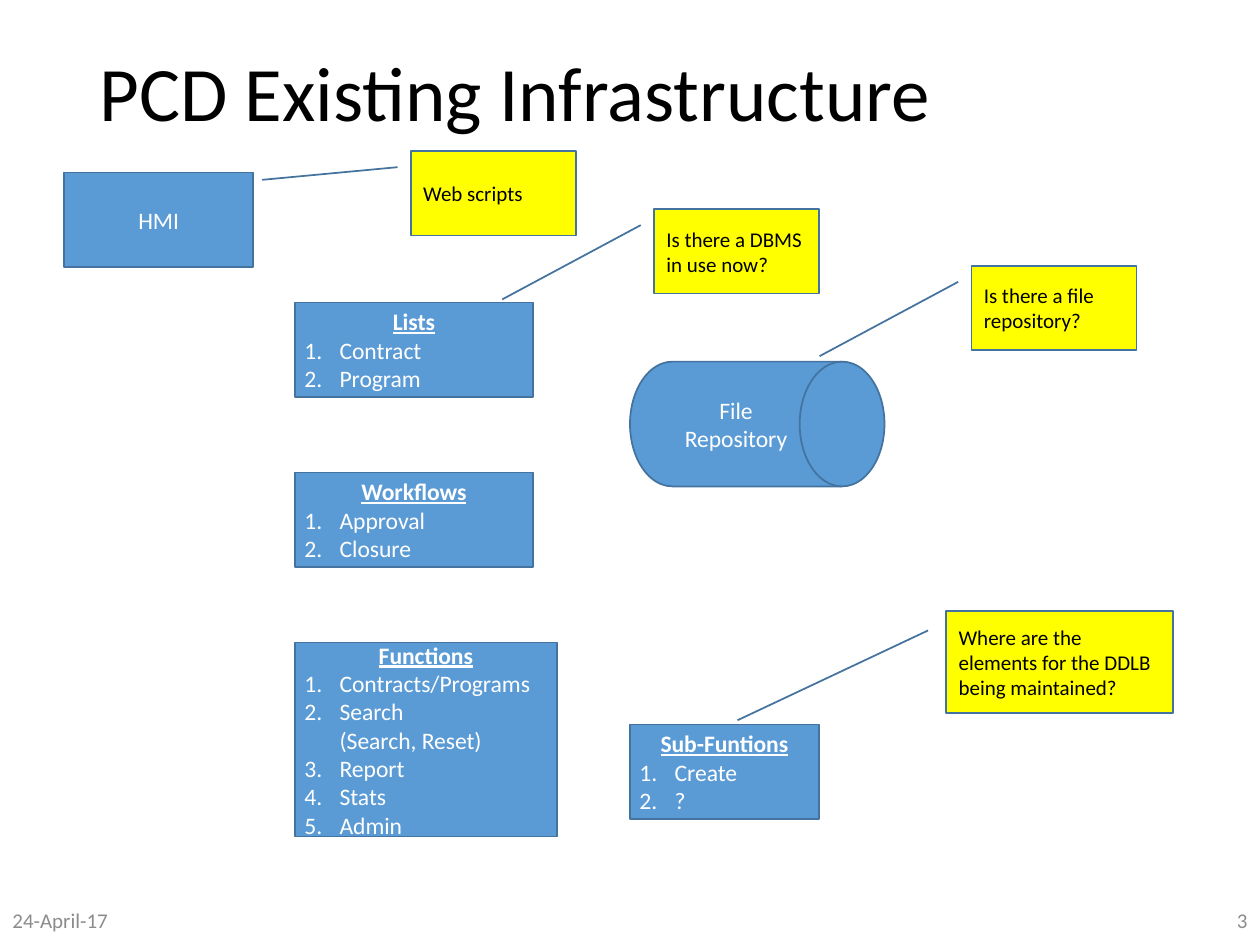
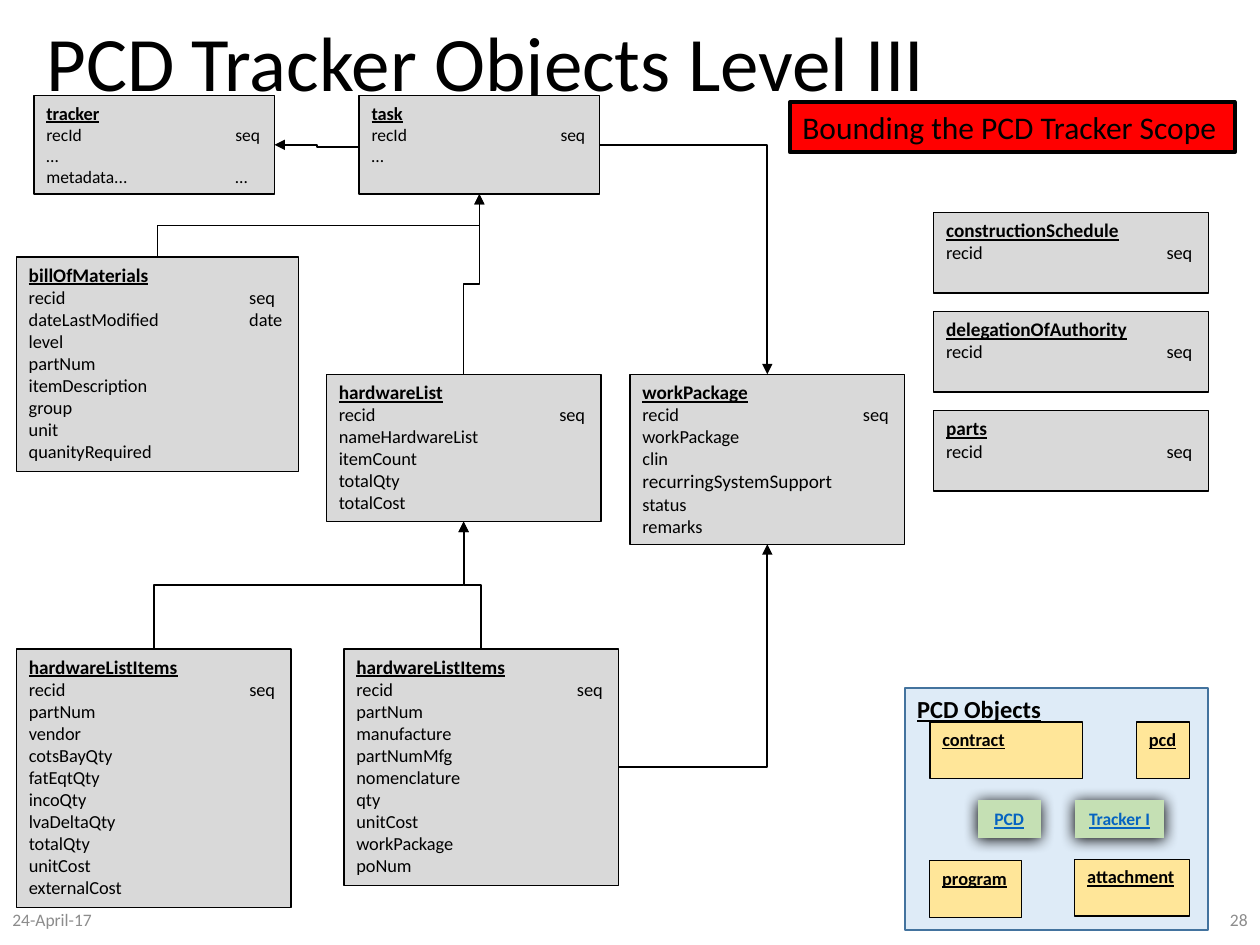
from dataclasses import dataclass, replace

from lxml import etree
from pptx import Presentation
from pptx.dml.color import RGBColor
from pptx.enum.shapes import MSO_CONNECTOR, MSO_SHAPE
from pptx.enum.text import MSO_ANCHOR, PP_ALIGN
from pptx.oxml.ns import qn
from pptx.util import Inches, Pt

RECTANGLE = MSO_SHAPE.RECTANGLE
DRUM = MSO_SHAPE.FLOWCHART_DIRECT_ACCESS_STORAGE
CALLOUT = MSO_SHAPE.LINE_CALLOUT_1
BUTTON = MSO_SHAPE.ACTION_BUTTON_CUSTOM
ELBOW = MSO_CONNECTOR.ELBOW
LEFT, CENTER, RIGHT = PP_ALIGN.LEFT, PP_ALIGN.CENTER, PP_ALIGN.RIGHT
TOP, MIDDLE = MSO_ANCHOR.TOP, MSO_ANCHOR.MIDDLE

# The grid has 100 columns and 75 rows, each one cell wide and high
CELL = Inches(0.1)
COLUMNS, ROWS = 100, 75


@dataclass(frozen=True)
class Style:
    size: float
    ink: str = "000000"
    fill: str = ""
    line: str = ""
    weight: float = 1
    heading_size: float = 0  # 0: the first line is ordinary text
    align: PP_ALIGN = LEFT
    anchor: MSO_ANCHOR = TOP
    insets: tuple = (1, 0.5, 1, 0.5)  # left, top, right, bottom in cells
    spacing: float = 1
    tab: float = 0
    numbered: bool = False


class Theme:
    font = "Calibri"
    black = "000000"
    blue_edge = "43739E"
    title = Style(44, anchor=MIDDLE, spacing=0.9)
    footer = Style(12, "8C8C8C", anchor=MIDDLE)
    module = Style(13.5, "FFFFFF", "5B9BD5", blue_edge, align=CENTER,
                   anchor=MIDDLE, insets=(0.75, 0.38, 0.75, 0.38))
    module_list = replace(module, heading_size=13.5, align=LEFT, numbered=True)
    question = Style(12, fill="FFFF00", line=blue_edge, anchor=MIDDLE)
    entity = Style(10.5, fill="D9D9D9", line=black, weight=0.75,
                   heading_size=11, insets=(1, 0.5, 0, 0.5), tab=17.5)
    small_entity = replace(entity, size=10, heading_size=10.5, tab=15)
    label = replace(entity, fill="FFE699", heading_size=10.5, tab=0)
    panel = Style(14, fill="DEEBF7", line=blue_edge, heading_size=14)
    button = Style(10, "0563C1", "C5E0B4", heading_size=10, align=CENTER,
                   anchor=MIDDLE, insets=(0, 0, 0, 0))
    banner = Style(18, fill="FF0000", line=black, weight=2.25,
                   insets=(1, 0.5, 0, 0.5))


def add_box(slide, place, style, lines, form=RECTANGLE):
    """Add a text box (no fill) or a filled shape holding the lines."""
    left, top, width, height = (round(cells * CELL) for cells in place)
    if style.fill:
        box = slide.shapes.add_shape(form, left, top, width, height)
        box.shadow.inherit = False
        box.fill.solid()
        box.fill.fore_color.rgb = RGBColor.from_string(style.fill)
        if style.line:
            box.line.color.rgb = RGBColor.from_string(style.line)
            box.line.width = Pt(style.weight)
        else:
            box.line.fill.background()
    else:
        box = slide.shapes.add_textbox(left, top, width, height)

    frame = box.text_frame
    frame.word_wrap = True
    frame.vertical_anchor = style.anchor
    (frame.margin_left, frame.margin_top, frame.margin_right,
     frame.margin_bottom) = (round(cells * CELL) for cells in style.insets)

    for number, line in enumerate(lines):
        paragraph = frame.paragraphs[0] if number == 0 else frame.add_paragraph()
        paragraph.text = line
        heading = number == 0 and style.heading_size > 0
        paragraph.alignment = CENTER if heading and style.numbered else style.align
        if style.spacing != 1:
            paragraph.line_spacing = style.spacing
        properties = paragraph._p.get_or_add_pPr()
        if style.numbered and not heading:
            properties.set("marL", str(Inches(0.28)))
            properties.set("indent", str(-Inches(0.28)))
            etree.SubElement(properties, qn("a:buFont"), typeface="+mj-lt")
            etree.SubElement(properties, qn("a:buAutoNum"), type="arabicPeriod")
        if style.tab:
            stops = etree.SubElement(properties, qn("a:tabLst"))
            etree.SubElement(stops, qn("a:tab"), algn="l",
                             pos=str(round(style.tab * CELL)))
        font = paragraph.font
        font.name = Theme.font
        font.size = Pt(style.heading_size if heading else style.size)
        font.bold = font.underline = heading
        font.color.rgb = RGBColor.from_string(style.ink)
    return box


def start_slide(deck, title, title_left, title_top, number, footer_size):
    """Add a blank slide with its title, date and page number."""
    slide = deck.slides.add_slide(deck.slide_layouts[6])
    add_box(slide, (title_left, title_top, 86.2, 8.7), Theme.title, [title])
    footer = replace(Theme.footer, size=footer_size)
    add_box(slide, (0, 71, 22.5, 4), footer, ["24-April-17"])
    add_box(slide, (77.5, 71, 22.5, 4), replace(footer, align=RIGHT), [number])
    return slide


deck = Presentation()
deck.slide_width, deck.slide_height = COLUMNS * CELL, ROWS * CELL

# Slide 1: existing infrastructure
infrastructure = start_slide(deck, "PCD Existing Infrastructure", 6.9, 3.3, "3", 12)
add_box(infrastructure, (5.1, 13.7, 15, 7.5), Theme.module, ["HMI"])
add_box(infrastructure, (50, 28.7, 20.2, 9.9), Theme.module,
        ["File Repository"], DRUM)

module_lists = [
    ((23.4, 24, 18.9, 7.5), ["Lists", "Contract", "Program"]),
    ((23.4, 37.5, 18.9, 7.5), ["Workflows", "Approval", "Closure"]),
    ((23.4, 51, 20.8, 15.4), ["Functions", "Contracts/Programs",
                              "Search\v(Search, Reset)", "Report", "Stats", "Admin"]),
    ((50, 57.5, 15, 7.5), ["Sub-Funtions", "Create", "?"]),
]
for place, lines in module_lists:
    add_box(infrastructure, place, Theme.module_list, lines)

# Questions, each with the point its leader line reaches (down, across)
questions = [
    ((51.9, 16.6, 13.1, 6.7), "Is there a DBMS in use now?", 1.07, -0.92),
    ((77.1, 21.1, 13.1, 6.7), "Is there a file repository?", 1.07, -0.92),
    ((75.1, 48.5, 18, 8.1),
     "Where are the elements for the DDLB being maintained?", 1.07, -0.92),
    ((32.6, 12, 13.1, 6.7), "Web scripts", 0.34, -0.9),
]
for place, question, down, across in questions:
    callout = add_box(infrastructure, place, Theme.question, [question], CALLOUT)
    for index, share in enumerate((0.19, -0.08, down, across)):
        callout.adjustments[index] = share

# Slide 2: tracker objects
tracker_objects = start_slide(deck, "PCD Tracker Objects Level III", 2.7, 0.9, "28", 10)
add_box(tracker_objects, (62.7, 8.1, 35.3, 4), Theme.banner,
        ["Bounding the PCD Tracker Scope"])

# Entities with their fields
entity_rows = [
    ("tracker", (2.7, 7.6, 19.1, 7.8), Theme.small_entity,
     ["tracker", "recId\tseq", "…", "metadata...\t…"]),
    ("task", (28.5, 7.6, 19.1, 7.8), Theme.small_entity,
     ["task", "recId\tseq", "…"]),
    ("materials", (1.3, 20.4, 22.4, 17), Theme.entity,
     ["billOfMaterials", "recid\tseq", "dateLastModified\tdate", "level", "partNum",
      "itemDescription", "group", "unit", "quanityRequired"]),
    ("hardware", (25.9, 29.7, 21.8, 11.7), Theme.entity,
     ["hardwareList", "recid\tseq", "nameHardwareList", "itemCount", "totalQty",
      "totalCost"]),
    ("work package", (50, 29.7, 21.8, 13.5), Theme.entity,
     ["workPackage", "recid\tseq", "workPackage", "clin", "recurringSystemSupport",
      "status", "remarks"]),
    ("vendor items", (1.3, 51.5, 21.8, 20.5), Theme.entity,
     ["hardwareListItems", "recid\tseq", "partNum", "vendor", "cotsBayQty",
      "fatEqtQty", "incoQty", "lvaDeltaQty", "totalQty", "unitCost", "externalCost"]),
    ("maker items", (27.3, 51.5, 21.8, 18.8), Theme.entity,
     ["hardwareListItems", "recid\tseq", "partNum", "manufacture", "partNumMfg",
      "nomenclature", "qty", "unitCost", "workPackage", "poNum"]),
]
entities = {key: add_box(tracker_objects, place, style, lines)
            for key, place, style, lines in entity_rows}
entities["work package"].text_frame.paragraphs[4].font.size = Pt(11)

unlinked = ["constructionSchedule", "delegationOfAuthority", "parts"]
for row, name in enumerate(unlinked):
    add_box(tracker_objects, (74.1, 16.85 + 7.86 * row, 21.8, 6.4), Theme.entity,
            [name, "recid\tseq"])

# Links between entities: up (bottom end), across (right end) or round a corner
links = [
    ("task", "tracker", "across"),
    ("materials", "task", "up"),
    ("hardware", "task", "up"),
    ("vendor items", "hardware", "up"),
    ("maker items", "hardware", "up"),
    ("task", "work package", "corner down"),
    ("maker items", "work package", "corner up"),
]
for source, target, route in links:
    start, goal = entities[source], entities[target]
    start_x, start_y = start.left + start.width // 2, start.top
    goal_x, goal_y = goal.left + goal.width // 2, goal.top + goal.height
    if route != "up":
        start_y = start.top + start.height // 2
        start_x = start.left + (0 if route == "across" else start.width)
    if route == "across":
        goal_x, goal_y = goal.left + goal.width, goal.top + goal.height // 2
        start_y += round(0.15 * CELL)
    elif route == "corner down":
        goal_y = goal.top
    if route == "up":
        # Lay the elbow on its side; the quarter turn below stands it up
        middle_x, middle_y = (start_x + goal_x) // 2, (start_y + goal_y) // 2
        reach, rise = (start_y - goal_y) // 2, (goal_x - start_x) // 2
        ends = (middle_x - reach, middle_y - rise, middle_x + reach, middle_y + rise)
    else:
        ends = (start_x, start_y, goal_x, goal_y)
    link = tracker_objects.shapes.add_connector(ELBOW, *ends)
    link.line.color.rgb = RGBColor.from_string(Theme.black)
    link.line.width = Pt(1)
    shape_properties = link._element.spPr
    if route == "up":
        shape_properties.find(qn("a:xfrm")).set("rot", str(270 * 60000))
    elif route != "across":
        shape_properties.find(qn("a:prstGeom")).set("prst", "bentConnector2")
    etree.SubElement(shape_properties.find(qn("a:ln")), qn("a:tailEnd"), type="triangle")
    etree.SubElement(shape_properties, qn("a:effectLst"))

# Panel of PCD objects
add_box(tracker_objects, (71.8, 54.6, 24.1, 19.2), Theme.panel, ["PCD Objects"])
panel_labels = [
    ("contract", 73.8, 57.3, 12.1),
    ("program", 73.8, 68.3, 7.3),
    ("pcd", 90.2, 57.3, 4.2),
    ("attachment", 85.3, 68.2, 9.1),
]
for name, left, top, width in panel_labels:
    add_box(tracker_objects, (left, top, width, 4.5), Theme.label, [name])

for name, left, width in [("PCD", 77.6, 5), ("Tracker I", 85.3, 7.1)]:
    button = add_box(tracker_objects, (left, 63.5, width, 3), Theme.button, [name], BUTTON)
    effects = button._element.spPr.find(qn("a:effectLst"))
    shadow = etree.SubElement(effects, qn("a:outerShdw"), blurRad=str(Pt(8.5)),
                              dist=str(Pt(1)), dir=str(90 * 60000), rotWithShape="0")
    etree.SubElement(shadow, qn("a:srgbClr"), val=Theme.black)

# The page number sits beside the panel
deck.save("out.pptx")
